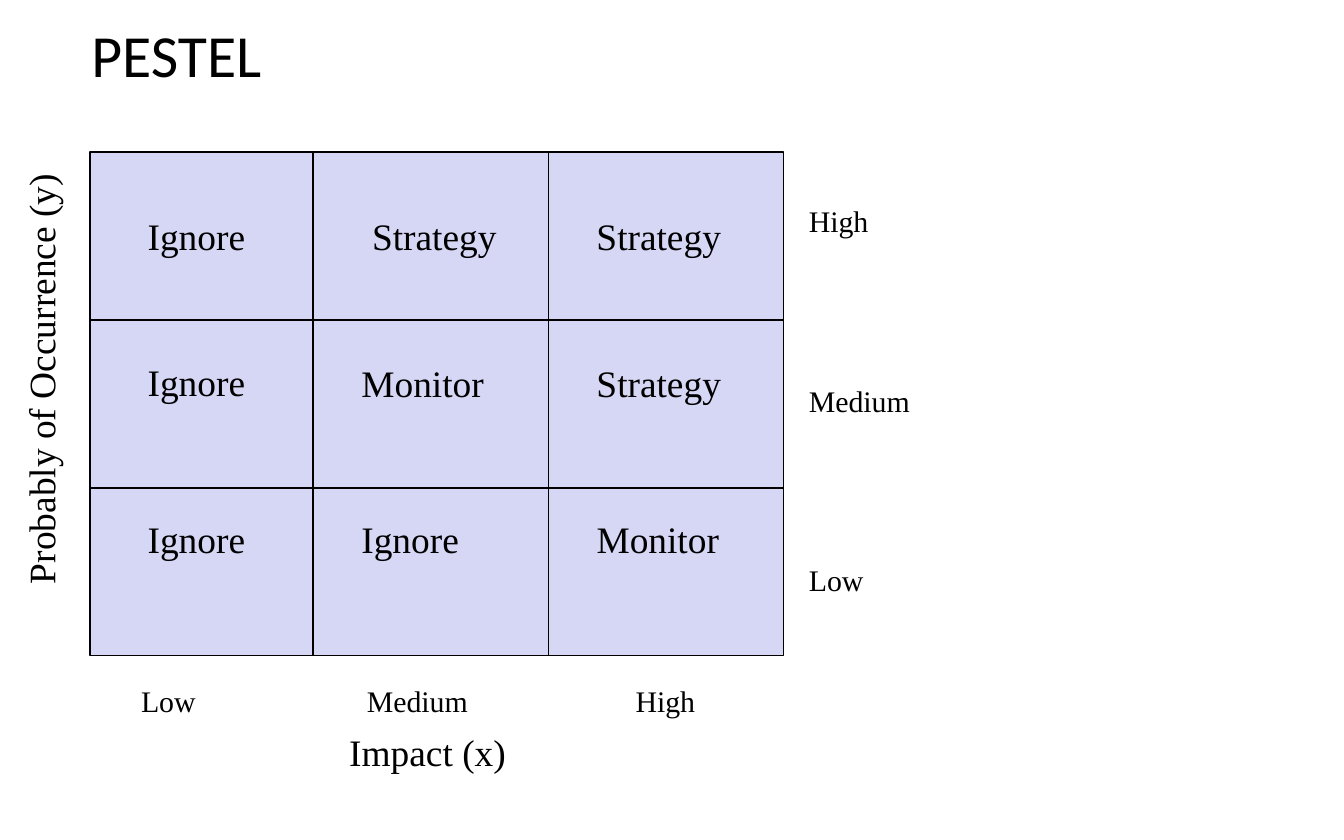
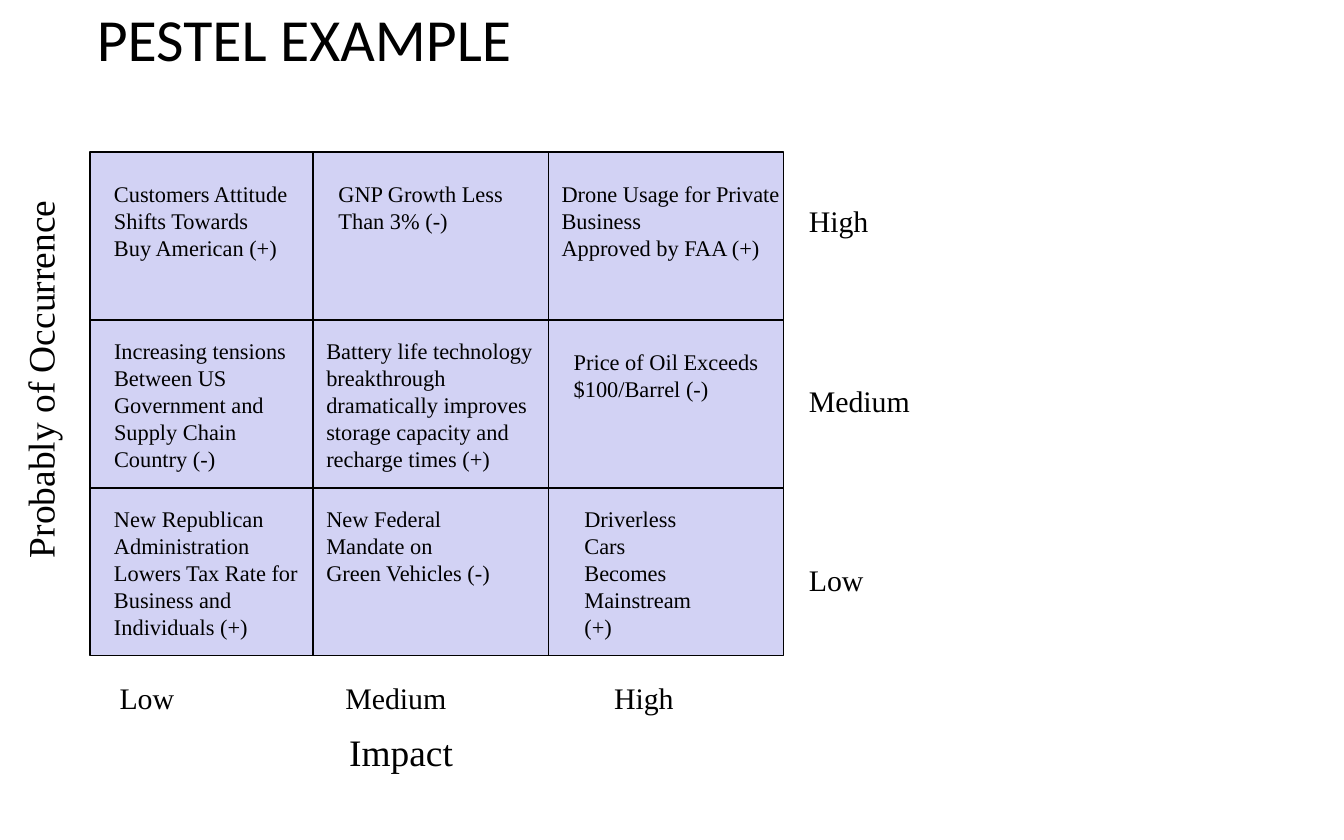
from lxml import etree
from pptx import Presentation
from pptx.dml.color import RGBColor
from pptx.enum.shapes import MSO_CONNECTOR, MSO_SHAPE
from pptx.enum.text import MSO_ANCHOR, MSO_AUTO_SIZE, PP_ALIGN
from pptx.oxml.ns import qn
from pptx.util import Inches, Pt

RECTANGLE = MSO_SHAPE.RECTANGLE
STRAIGHT = MSO_CONNECTOR.STRAIGHT
MIDDLE = MSO_ANCHOR.MIDDLE
LEFT = PP_ALIGN.LEFT
NO_AUTOFIT = MSO_AUTO_SIZE.NONE

# Shared style
BLACK = "000000"
TITLE_FONT = {"name": "Calibri", "size": Pt(32), "bold": False}
AXIS_FONT = {"name": "Times New Roman", "size": Pt(20)}
LEVEL_FONT = {"name": "Times New Roman", "size": Pt(16)}
NOTE_FONT = {"name": "Times New Roman", "size": Pt(12)}
LEVELS = ["Low", "Medium", "High"]
LEVEL_TABS = [1.68, 3.68]

# Shared matrix geometry
COLUMN_EDGES = [0.67, 2.33, 4.08, 5.83]
TOP, ROW_HEIGHT = 1.13, 1.25
ROW_EDGES = [TOP + ROW_HEIGHT * row for row in range(4)]

# Cells: left, top, width, height, wrap, lines
SLIDES = [
    {
        "title": "PESTEL", "title_at": (0.58, 0.12), "fill": "D6D6F5",
        "x_axis": "Impact (x)", "x_axis_width": 1.36,
        "x_levels_at": (0.58, 4.98),
        "y_axis": "Probably of Occurrence (y)", "y_axis_at": (-1.32, 3.25),
        "cell_font": AXIS_FONT,
        "cells": [
            (1, 1.54, 0.92, 0.44, False, ["Ignore"]),
            (2.67, 1.54, 1.13, 0.44, False, ["Strategy"]),
            (4.34, 1.54, 1.13, 0.44, False, ["Strategy"]),
            (1, 2.62, 0.92, 0.44, False, ["Ignore"]),
            (2.59, 2.63, 1.11, 0.44, False, ["Monitor"]),
            (4.34, 2.63, 1.13, 0.44, False, ["Strategy"]),
            (1, 3.79, 0.92, 0.44, False, ["Ignore"]),
            (2.59, 3.79, 0.92, 0.44, False, ["Ignore"]),
            (4.34, 3.79, 1.11, 0.44, False, ["Monitor"]),
        ],
    },
    {
        "title": "PESTEL EXAMPLE", "title_at": (0.62, 0), "fill": "D2D2F4",
        "x_axis": "Impact", "x_axis_width": 0.97,
        "x_levels_at": (0.42, 4.96),
        "y_axis": "Probably of Occurrence", "y_axis_at": (-1.13, 2.86),
        "cell_font": NOTE_FONT,
        "cells": [
            (0.75, 1.29, 1.5, 0.7, False,
             ["Customers Attitude", "Shifts Towards", "Buy American (+)"]),
            (2.42, 1.29, 1.43, 0.5, False, ["GNP Growth Less", "Than 3% (-)"]),
            (4.08, 1.29, 1.83, 0.7, True,
             ["Drone Usage for Private Business", "Approved by FAA (+)"]),
            (0.75, 2.46, 1.58, 1.1, True,
             ["Increasing tensions",
              "Between US Government and Supply Chain Country (-)"]),
            (2.33, 2.46, 1.83, 1.1, True,
             ["Battery life technology",
              "breakthrough dramatically improves storage capacity and recharge times (+)"]),
            (4.17, 2.54, 1.75, 0.5, True, ["Price of Oil Exceeds $100/Barrel (-)"]),
            (0.75, 3.71, 2, 1.1, True,
             ["New Republican Administration", "Lowers Tax Rate for Business and",
              "Individuals (+)"]),
            (2.33, 3.71, 1.58, 0.7, True, ["New Federal Mandate on", "Green Vehicles (-)"]),
            (4.25, 3.71, 1.17, 1.1, True, ["Driverless Cars", "Becomes Mainstream (+)"]),
        ],
    },
]


def paint(color_format, hex_color):
    color_format.rgb = RGBColor.from_string(hex_color)


def write(shape, box, lines, font_format, wrap=False):
    """Place a text shape and fill it with one paragraph per line."""
    shape.left, shape.top, shape.width, shape.height = map(Inches, box)
    frame = shape.text_frame
    frame.auto_size = NO_AUTOFIT
    frame.word_wrap = wrap
    for index, line in enumerate(lines):
        paragraph = frame.add_paragraph() if index else frame.paragraphs[0]
        paragraph.alignment = LEFT
        run = paragraph.add_run()
        run.text = line
        for name, value in font_format.items():
            setattr(run.font, name, value)
        paint(run.font.color, BLACK)
    return frame


presentation = Presentation()
presentation.slide_width = Inches(10)
presentation.slide_height = Inches(6.25)
title_only = presentation.slide_layouts[5]

for content in SLIDES:
    slide = presentation.slides.add_slide(title_only)
    shapes = slide.shapes

    # Title
    title_frame = write(shapes.title, (*content["title_at"], 6.5, 0.56),
                        [content["title"]], TITLE_FONT, wrap=True)
    title_frame.vertical_anchor = MIDDLE

    # Matrix background
    left, right = COLUMN_EDGES[0], COLUMN_EDGES[-1]
    bottom = ROW_EDGES[-1]
    matrix = shapes.add_shape(RECTANGLE, Inches(left), Inches(TOP),
                              Inches(right - left), Inches(bottom - TOP))
    matrix.shadow.inherit = False
    matrix.fill.solid()
    paint(matrix.fill.fore_color, content["fill"])
    paint(matrix.line.color, BLACK)
    matrix.line.width = Pt(0.75)

    # Matrix dividers
    dividers = [(left, y, right, y) for y in ROW_EDGES[1:-1]]
    dividers += [(x, TOP, x, bottom) for x in COLUMN_EDGES[1:-1]]
    for ends in dividers:
        divider = shapes.add_connector(STRAIGHT, *map(Inches, ends))
        paint(divider.line.color, BLACK)
        divider.line.width = Pt(0.75)
        etree.SubElement(divider.element.spPr, qn("a:effectLst"))

    # Horizontal axis: name and tabbed levels
    write(shapes.add_textbox(0, 0, 0, 0), (2.5, 5.38, content["x_axis_width"], 0.44),
          [content["x_axis"]], AXIS_FONT)
    x_levels = write(shapes.add_textbox(0, 0, 0, 0), (*content["x_levels_at"], 6.5, 0.77),
                     ["\t".join(LEVELS)], LEVEL_FONT, wrap=True)
    x_levels.margin_left = Inches(0.47)
    x_levels.margin_top = Inches(0.1)
    properties = x_levels.paragraphs[0]._p.get_or_add_pPr()
    tab_list = etree.SubElement(properties, qn("a:tabLst"))
    for position in LEVEL_TABS:
        etree.SubElement(tab_list, qn("a:tab"), pos=str(Inches(position)), algn="l")

    # Vertical axis: levels and rotated name
    y_levels = write(shapes.add_textbox(0, 0, 0, 0), (5.92, 1.46, 0.95, 3.03),
                     LEVELS[::-1], LEVEL_FONT)
    for paragraph in y_levels.paragraphs[1:]:
        paragraph.space_before = Pt(77)
    y_left, y_length = content["y_axis_at"]
    y_axis = shapes.add_textbox(0, 0, 0, 0)
    write(y_axis, (y_left, 2.6, y_length, 0.44), [content["y_axis"]], AXIS_FONT)
    y_axis.rotation = 270

    # Cell texts
    for *box, wrap, lines in content["cells"]:
        write(shapes.add_textbox(0, 0, 0, 0), box, lines, content["cell_font"], wrap)

presentation.save("out.pptx")
